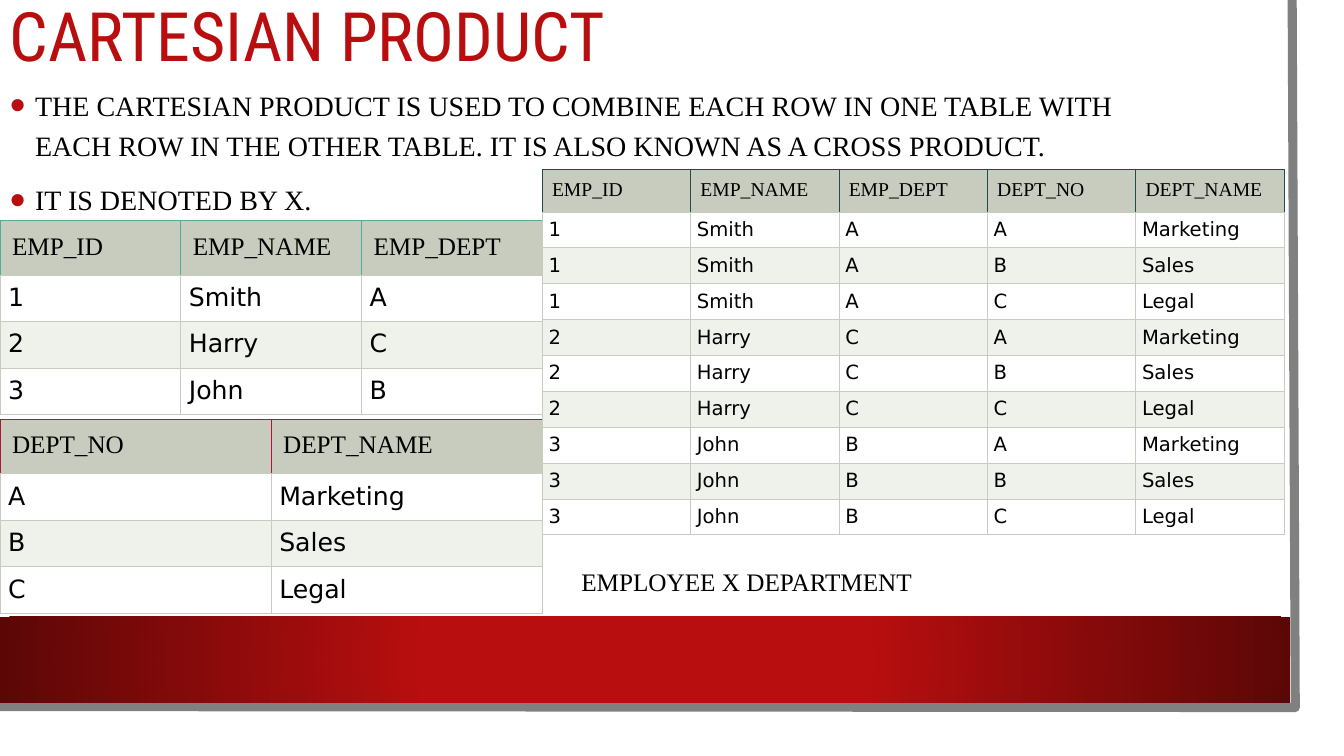
import itertools
from dataclasses import dataclass

import pptx
import pptx.dml.color
import pptx.enum.shapes
import pptx.enum.text
import pptx.oxml
import pptx.oxml.ns
import pptx.util
from lxml import etree

Pt = pptx.util.Pt
RGBColor = pptx.dml.color.RGBColor
MIDDLE = pptx.enum.text.MSO_ANCHOR.MIDDLE
TOP = pptx.enum.text.MSO_ANCHOR.TOP

RED = RGBColor(0xB8, 0x0E, 0x0F)
DARK_RED = RGBColor(0x5C, 0x07, 0x07)
GRAY = RGBColor(0x80, 0x80, 0x80)
BLACK = RGBColor(0, 0, 0)
WHITE = RGBColor(0xFF, 0xFF, 0xFF)
HEADER_FILL = RGBColor(0xC7, 0xCC, 0xBE)
BAND_FILL = RGBColor(0xEF, 0xF1, 0xEB)
TEAL = RGBColor(0x50, 0xAD, 0x97)
CRIMSON = RGBColor(0xB0, 0x17, 0x34)
DEEP_TEAL = RGBColor(0x20, 0x4C, 0x4D)

TITLE_FONT = "Roboto Condensed"
SERIF = "Times New Roman"
SANS = "DejaVu Sans"
NAMESPACE = pptx.oxml.ns.nsdecls("a")

EMPLOYEES = [("1", "Smith", "A"), ("2", "Harry", "C"), ("3", "John", "B")]
DEPARTMENTS = [("A", "Marketing"), ("B", "Sales"), ("C", "Legal")]
EMPLOYEE_HEADER = ("EMP_ID", "EMP_NAME", "EMP_DEPT")
DEPARTMENT_HEADER = ("DEPT_NO", "DEPT_NAME")
PRODUCT = [employee + department
           for employee, department in itertools.product(EMPLOYEES, DEPARTMENTS)]


@dataclass
class TextStyle:
    font: str
    size: float
    color: RGBColor = BLACK


@dataclass
class Relation:
    header: tuple[str, ...]
    rows: list[tuple[str, ...]]
    left: float
    top: float
    width: float
    header_height: float
    row_height: float
    size: float
    header_inset: float
    inset: float
    header_border: RGBColor


RELATIONS = [
    Relation(EMPLOYEE_HEADER, EMPLOYEES, 0, 157.7, 387.4, 38, 33, 18, 8.6, 5.8, TEAL),
    Relation(DEPARTMENT_HEADER, DEPARTMENTS, 0, 299.5, 387.4, 38, 33, 18, 8.6, 5.8, CRIMSON),
    Relation(EMPLOYEE_HEADER + DEPARTMENT_HEADER, PRODUCT,
             387.4, 120.8, 530, 30, 25.65, 14, 6.9, 4.4, DEEP_TEAL),
]

BULLETS = [
    "THE CARTESIAN PRODUCT IS USED TO COMBINE EACH ROW IN ONE TABLE WITH "
    "EACH ROW IN THE OTHER TABLE. IT IS ALSO KNOWN AS A CROSS PRODUCT.",
    "IT IS DENOTED BY X.",
]


def add_run(paragraph, text: str, style: TextStyle) -> None:
    run = paragraph.add_run()
    run.text = text
    run.font.name = style.font
    run.font.size = Pt(style.size)
    run.font.color.rgb = style.color


def add_rectangle(slide, left: float, top: float, width: float, height: float):
    shape = slide.shapes.add_shape(pptx.enum.shapes.MSO_SHAPE.RECTANGLE,
                                   Pt(left), Pt(top), Pt(width), Pt(height))
    shape.shadow.inherit = False
    shape.line.fill.background()
    return shape


def add_text_frame(slide, left: float, top: float, width: float, height: float,
                   anchor, vertical_inset: float = 3.6):
    box = slide.shapes.add_textbox(Pt(left), Pt(top), Pt(width), Pt(height))
    frame = box.text_frame
    frame.word_wrap = True
    frame.vertical_anchor = anchor
    frame.margin_top = frame.margin_bottom = Pt(vertical_inset)
    return frame


def add_backdrop(slide) -> None:
    card = add_rectangle(slide, 0, 0, 943.2, 523.4)
    card.fill.solid()
    card.fill.fore_color.rgb = WHITE

    builder = slide.shapes.build_freeform(Pt(923), Pt(0))
    builder.add_line_segments([(Pt(925.2), Pt(505.4)), (Pt(-2.2), Pt(504.7))], close=False)
    edge = builder.convert_to_shape()
    edge.shadow.inherit = False
    edge.fill.background()
    edge.line.color.rgb = GRAY
    edge.line.width = Pt(6.5)

    band = add_rectangle(slide, 0, 440.6, 921.6, 61.4)
    gradient = pptx.oxml.parse_xml(
        f'<a:gradFill {NAMESPACE} rotWithShape="1"><a:gsLst>'
        f'<a:gs pos="34000"><a:srgbClr val="{RED}"/></a:gs>'
        f'<a:gs pos="100000"><a:srgbClr val="{DARK_RED}"/></a:gs></a:gsLst>'
        '<a:path path="circle"><a:fillToRect l="50000" t="50000" r="50000" b="50000"/>'
        '</a:path></a:gradFill>')
    band.element.spPr.insert(2, gradient)


def add_bullet(paragraph, text: str, style: TextStyle) -> None:
    properties = paragraph._p.get_or_add_pPr()
    properties.set("marL", str(Pt(18)))
    properties.set("indent", str(Pt(-18)))
    for markup in (f'<a:buClr {NAMESPACE}><a:srgbClr val="{RED}"/></a:buClr>',
                   f'<a:buSzPct {NAMESPACE} val="160000"/>',
                   f'<a:buFont {NAMESPACE} typeface="Arial"/>',
                   f'<a:buChar {NAMESPACE} char="•"/>'):
        properties.append(pptx.oxml.parse_xml(markup))
    paragraph.line_spacing = 1.2
    add_run(paragraph, text, style)


def set_borders(cell, upper: RGBColor, bottom: RGBColor) -> None:
    properties = cell._tc.get_or_add_tcPr()
    sides = {"lnL": upper, "lnR": upper, "lnT": upper, "lnB": bottom}
    for index, (side, color) in enumerate(sides.items()):
        line = etree.Element(pptx.oxml.ns.qn(f"a:{side}"), w=str(Pt(0.75)))
        fill = etree.SubElement(line, pptx.oxml.ns.qn("a:solidFill"))
        etree.SubElement(fill, pptx.oxml.ns.qn("a:srgbClr"), val=str(color))
        properties.insert(index, line)


def add_relation(slide, relation: Relation) -> None:
    lines = [relation.header, *relation.rows]
    height = relation.header_height + relation.row_height * len(relation.rows)
    table = slide.shapes.add_table(len(lines), len(relation.header), Pt(relation.left),
                                   Pt(relation.top), Pt(relation.width), Pt(height)).table
    table.first_row = table.horz_banding = False
    for column in table.columns:
        column.width = Pt(relation.width / len(relation.header))
    for row_index, values in enumerate(lines):
        is_header = row_index == 0
        table.rows[row_index].height = Pt(
            relation.header_height if is_header else relation.row_height)
        body_fill = WHITE if row_index % 2 else BAND_FILL
        inset = Pt(relation.header_inset if is_header else relation.inset)
        style = TextStyle(SERIF if is_header else SANS, relation.size)
        for column_index, value in enumerate(values):
            cell = table.cell(row_index, column_index)
            cell.fill.solid()
            cell.fill.fore_color.rgb = HEADER_FILL if is_header else body_fill
            cell.margin_left = cell.margin_right = inset
            cell.margin_top = cell.margin_bottom = inset
            add_run(cell.text_frame.paragraphs[0], value, style)
            set_borders(cell, relation.header_border if is_header else HEADER_FILL, HEADER_FILL)


def main() -> None:
    presentation = pptx.Presentation()
    presentation.slide_width = Pt(960)
    presentation.slide_height = Pt(540)
    slide = presentation.slides.add_slide(presentation.slide_layouts[6])
    add_backdrop(slide)

    title = add_text_frame(slide, 0, 0, 818.6, 57, MIDDLE, 0).paragraphs[0]
    title.line_spacing = 0.9
    add_run(title, "CARTESIAN PRODUCT", TextStyle(TITLE_FONT, 48.6, RED))

    body = add_text_frame(slide, 0, 58.3, 818.6, 96, MIDDLE, 0)
    for index, text in enumerate(BULLETS):
        paragraph = body.add_paragraph() if index else body.paragraphs[0]
        add_bullet(paragraph, text, TextStyle(SERIF, 20))
        if index:
            paragraph.space_before = Pt(10)

    for relation in RELATIONS:
        add_relation(slide, relation)

    caption = add_text_frame(slide, 408.2, 401, 329, 28.8, TOP).paragraphs[0]
    add_run(caption, "EMPLOYEE X DEPARTMENT", TextStyle(SERIF, 18))
    presentation.save("out.pptx")


if __name__ == "__main__":
    main()
